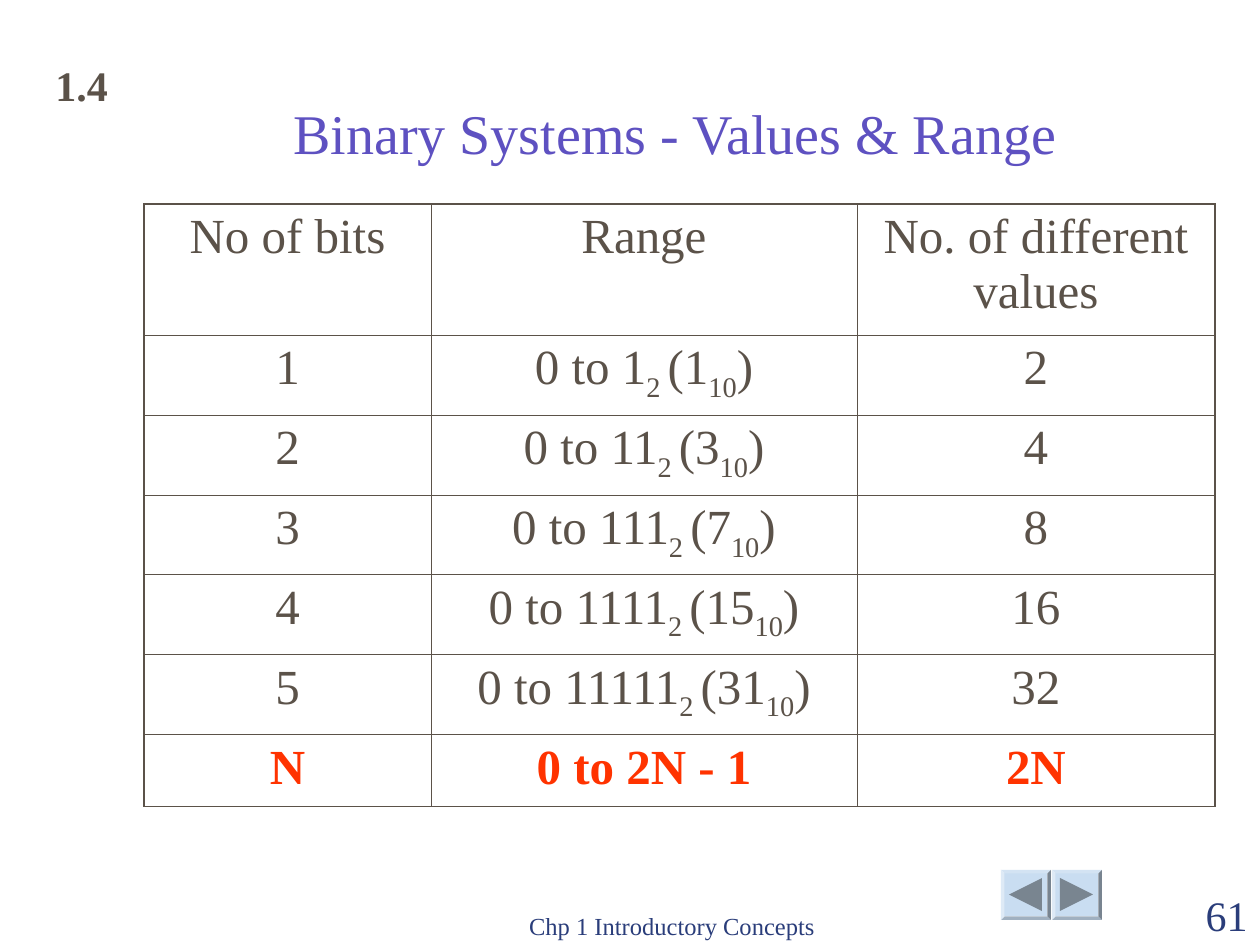
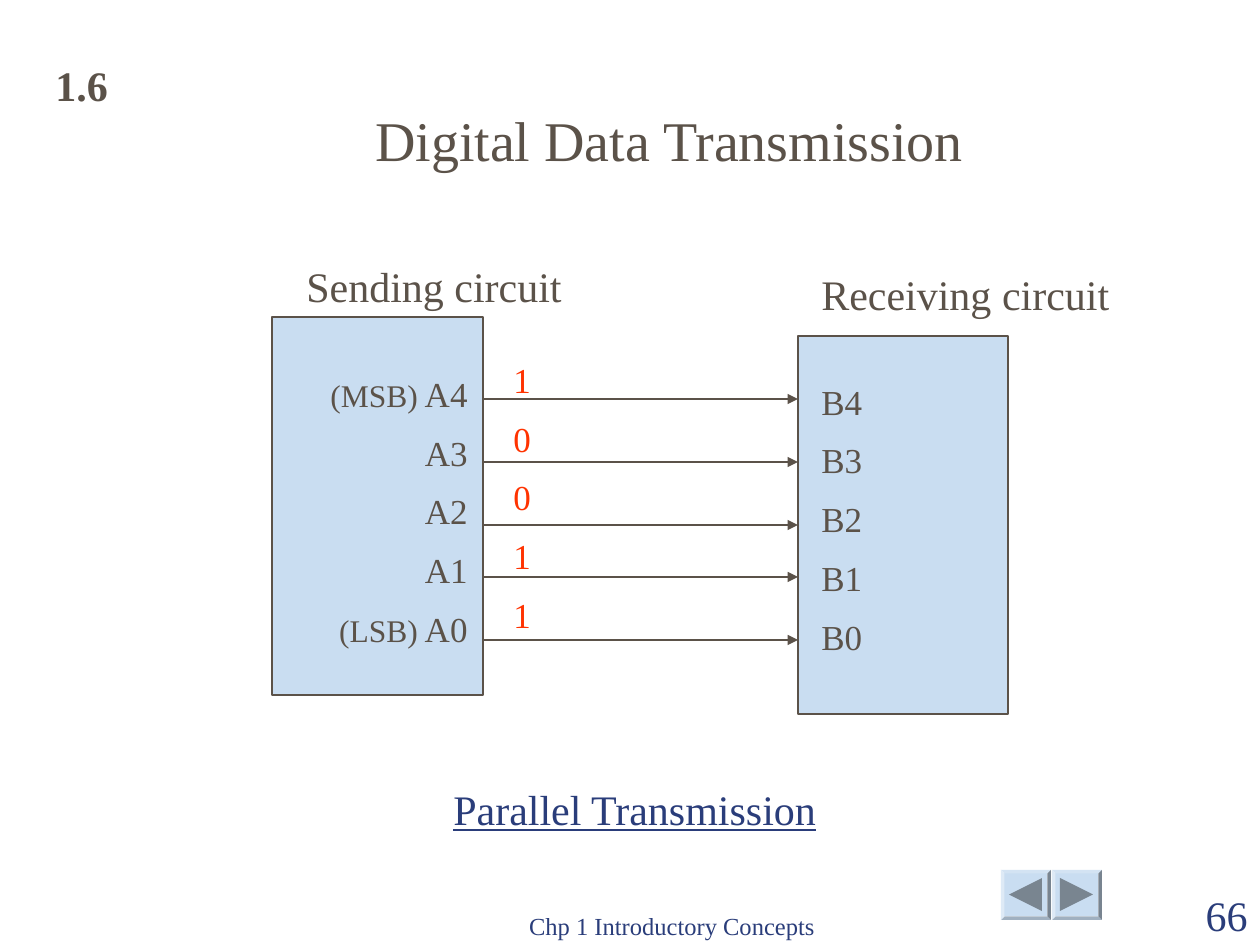
from lxml.etree import SubElement
from pptx import Presentation
from pptx.dml.color import RGBColor
from pptx.enum.shapes import MSO_CONNECTOR, MSO_SHAPE
from pptx.enum.text import MSO_ANCHOR, PP_ALIGN
from pptx.oxml.ns import qn
from pptx.util import Emu, Pt

COLORS = {
    "paper": "FFFFFF", "ink": "5B5249", "violet": "5E51C1", "navy": "2A3D7A",
    "red": "FF3300", "pale": "C9DDF1", "arrow": "798590",
}
FONT = "Times New Roman"
FOOTER = "Chp 1 Introductory Concepts"
BUTTONS = [(1001, -90), (1052, 90)]

HEADINGS = ["No of bits", "Range", "No. of different values"]
BIT_ROWS = [
    ("1", "1", "1", "2"),
    ("2", "11", "3", "4"),
    ("3", "111", "7", "8"),
    ("4", "1111", "15", "16"),
    ("5", "11111", "31", "32"),
]
GENERAL_ROW = ["N", "0 to 2N - 1", "2N"]
COLUMN_WIDTHS = [287, 426, 358]
ROW_HEIGHTS = [131, 80, 80, 79, 80, 80, 72]

SENDING_PINS = [("(MSB)", " A4"), ("", "A3"), ("", "A2"), ("", "A1"), ("(LSB)", " A0")]
RECEIVING_PINS = [("", f"B{bit}") for bit in range(4, -1, -1)]
SENT_BITS = [("", bit) for bit in "10011"]
WIRE_HEIGHTS = [399, 462, 525, 577, 640]
CIRCUITS = [
    ("Sending circuit", (294, 254, 292, 63), (272, 317, 211, 378)),
    ("Receiving circuit", (809, 262, 324, 63), (798, 336, 210, 378)),
]
PIN_COLUMNS = [
    (SENDING_PINS, (308, 328, 172, 370), "ink", PP_ALIGN.RIGHT),
    (RECEIVING_PINS, (809, 336, 72, 370), "ink", PP_ALIGN.LEFT),
    (SENT_BITS, (501, 314, 46, 370), "red", PP_ALIGN.LEFT),
]


def px(value):
    return Emu(round(value * 914400 / 126))


def color(name):
    return RGBColor.from_string(COLORS[name])


def style(font, size, color_name, bold=False):
    font.name = FONT
    font.size = Pt(size)
    font.bold = bold
    font.color.rgb = color(color_name)


def add_frame(slide, box, anchor=MSO_ANCHOR.TOP):
    frame = slide.shapes.add_textbox(*map(px, box)).text_frame
    frame.word_wrap = True
    frame.vertical_anchor = anchor
    return frame


def add_text(slide, text, box, size, color_name, align=PP_ALIGN.LEFT, bold=False,
             anchor=MSO_ANCHOR.TOP):
    frame = add_frame(slide, box, anchor)
    paragraph = frame.paragraphs[0]
    paragraph.text = text
    paragraph.alignment = align
    style(paragraph.font, size, color_name, bold)
    return frame


def add_block(slide, preset, box, fill, line=None):
    shape = slide.shapes.add_shape(preset, *map(px, box))
    shape.shadow.inherit = False
    shape.fill.solid()
    shape.fill.fore_color.rgb = color(fill)
    if line:
        shape.line.color.rgb = color(line)
        shape.line.width = Pt(0.75)
    else:
        shape.line.fill.background()
    return shape


def add_slide(presentation, section, number, title, title_box, title_color):
    slide = presentation.slides.add_slide(presentation.slide_layouts[6])
    slide.background.fill.solid()
    slide.background.fill.fore_color.rgb = color("paper")
    for left, turn in BUTTONS:
        button = add_block(slide, MSO_SHAPE.BEVEL, (left, 870, 50, 50), "pale")
        button.adjustments[0] = 0.07
        arrow = add_block(slide, MSO_SHAPE.ISOSCELES_TRIANGLE, (left + 8, 878, 33, 33), "arrow")
        arrow.rotation = turn
    bottom = MSO_ANCHOR.BOTTOM
    add_text(slide, FOOTER, (472, 884, 400, 63), 14, "navy", PP_ALIGN.CENTER, anchor=bottom)
    add_text(slide, number, (1134, 883, 126, 63), 24, "navy", PP_ALIGN.RIGHT, anchor=bottom)
    add_text(slide, section, (43, 53, 88, 63), 24, "ink", bold=True)
    heading = add_text(slide, title, title_box, 32, title_color, PP_ALIGN.CENTER,
                       anchor=bottom)
    return slide, heading


def add_border(cell, side, width):
    line = SubElement(cell._tc.get_or_add_tcPr(), qn(f"a:{side}"), w=str(Pt(width)))
    fill = SubElement(line, qn("a:solidFill"))
    SubElement(fill, qn("a:srgbClr"), val=COLORS["ink"])


def fill_cell(cell, parts, color_name, bold):
    paragraph = cell.text_frame.paragraphs[0]
    paragraph.alignment = PP_ALIGN.CENTER
    style(paragraph.font, 28, color_name, bold)
    for index, part in enumerate(parts):
        run = paragraph.add_run()
        run.text = part
        if index % 2:
            run._r.get_or_add_rPr().set("baseline", "-25000")


def add_range_table(slide):
    rows = [[[text] for text in HEADINGS]]
    rows += [[[bits], ["0 to " + binary, "2 ", "(" + decimal, "10", ")"], [count]]
             for bits, binary, decimal, count in BIT_ROWS]
    rows.append([[text] for text in GENERAL_ROW])
    last_row, last_column = len(rows) - 1, len(HEADINGS) - 1
    box = (144, 204, sum(COLUMN_WIDTHS), sum(ROW_HEIGHTS))
    table = slide.shapes.add_table(len(rows), len(HEADINGS), *map(px, box)).table
    table.first_row = table.horz_banding = False
    for column, width in zip(table.columns, COLUMN_WIDTHS):
        column.width = px(width)
    for row, height in zip(table.rows, ROW_HEIGHTS):
        row.height = px(height)
    for row_index, row in enumerate(rows):
        general = row_index == last_row
        for column_index, parts in enumerate(row):
            cell = table.cell(row_index, column_index)
            fill_cell(cell, parts, "red" if general else "ink", general)
            outer_sides = {
                "lnL": column_index == 0, "lnR": column_index == last_column,
                "lnT": row_index == 0, "lnB": general,
            }
            for side, outer in outer_sides.items():
                add_border(cell, side, 1.08 if outer else 0.45)
            cell.fill.background()


def add_wire(slide, height):
    wire = slide.shapes.add_connector(
        MSO_CONNECTOR.STRAIGHT, px(483), px(height), px(798), px(height))
    wire.line.color.rgb = color("ink")
    wire.line.width = Pt(1)
    SubElement(wire.line._get_or_add_ln(), qn("a:tailEnd"), type="triangle")
    SubElement(wire._element.spPr, qn("a:effectLst"))


def add_pins(slide, pins, box, color_name, align):
    frame = add_frame(slide, box)
    frame.margin_top = px(44)
    for index, (note, pin) in enumerate(pins):
        paragraph = frame.add_paragraph() if index else frame.paragraphs[0]
        paragraph.alignment = align
        if index:
            paragraph.space_before = Pt(9.7)
        style(paragraph.font, 20, color_name)
        if note:
            run = paragraph.add_run()
            run.text = note
            run.font.size = Pt(18)
        paragraph.add_run().text = pin


def build_range_slide(presentation):
    slide, heading = add_slide(presentation, "1.4", "61", "Binary Systems - Values & Range",
                               (124, 86, 1071, 88), "violet")
    heading.margin_left = px(44)
    heading.margin_bottom = px(8)
    add_range_table(slide)


def build_transmission_slide(presentation):
    slide, _ = add_slide(presentation, "1.6", "66", "Digital Data Transmission",
                         (134, 95, 1071, 84), "ink")
    for height in WIRE_HEIGHTS:
        add_wire(slide, height)
    caption = add_text(slide, "Parallel Transmission", (441, 777, 402, 63), 24, "navy")
    caption.paragraphs[0].font.underline = True
    for name, label_box, block_box in CIRCUITS:
        add_block(slide, MSO_SHAPE.RECTANGLE, block_box, "pale", "ink")
        add_text(slide, name, label_box, 24, "ink")
    for column in PIN_COLUMNS:
        add_pins(slide, *column)


def main():
    presentation = Presentation()
    presentation.slide_width, presentation.slide_height = px(1260), px(945)
    build_range_slide(presentation)
    build_transmission_slide(presentation)
    presentation.save("out.pptx")


if __name__ == "__main__":
    main()
